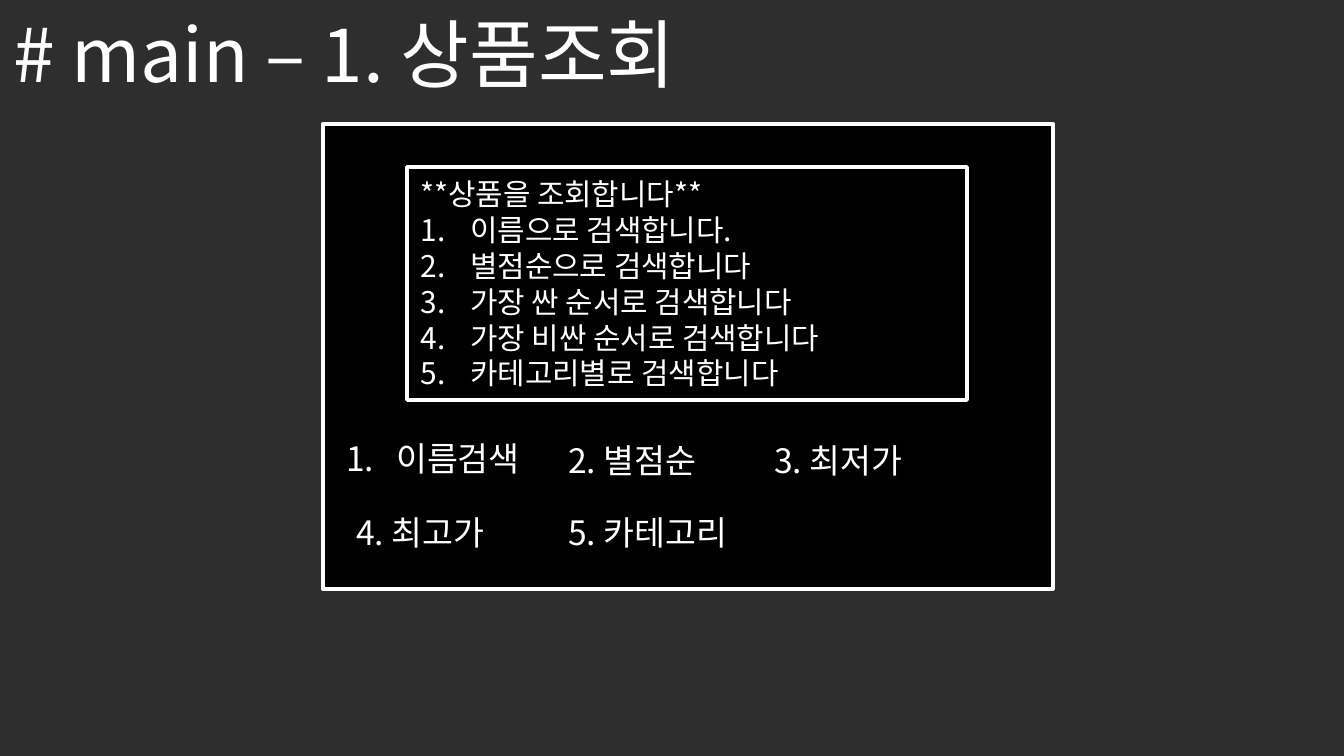
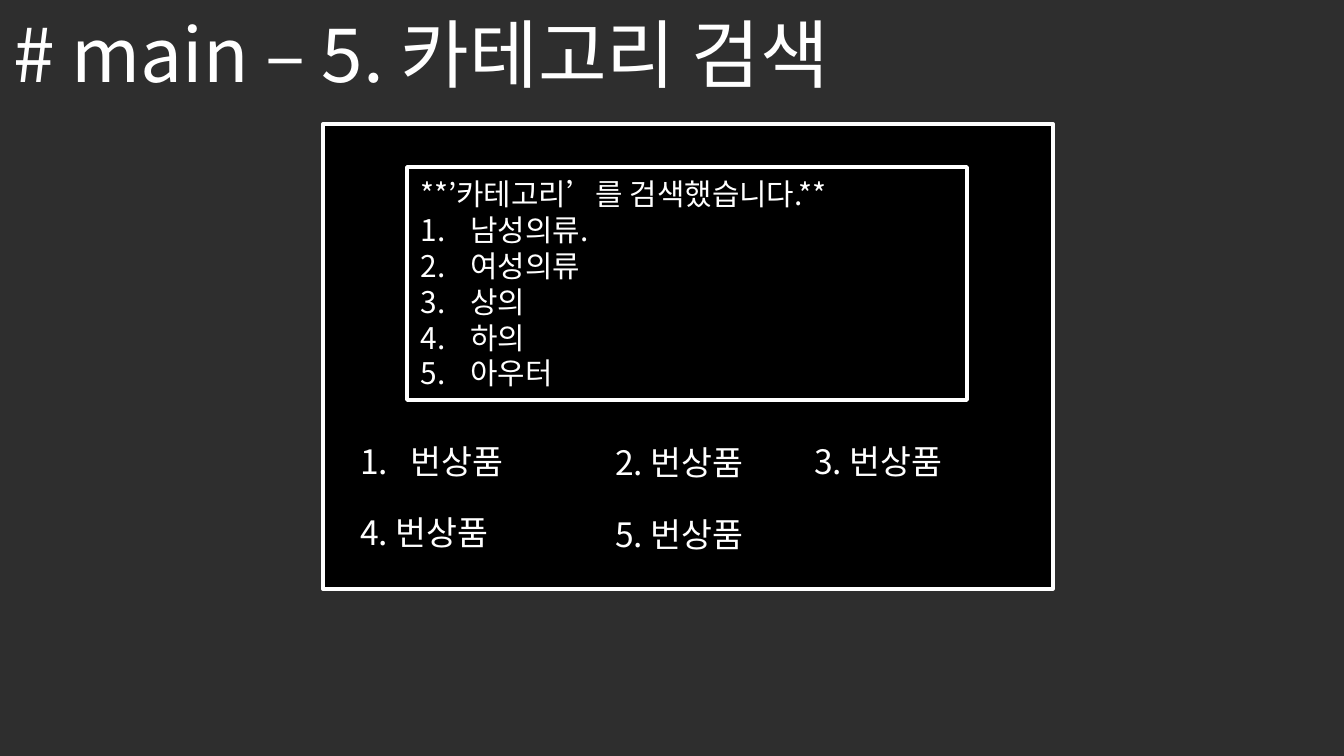
from dataclasses import dataclass

from lxml import etree
from pptx import Presentation
from pptx.dml.color import RGBColor
from pptx.enum.shapes import MSO_SHAPE
from pptx.enum.text import MSO_ANCHOR, MSO_AUTO_SIZE, PP_ALIGN
from pptx.oxml.ns import qn
from pptx.util import Pt

RECT = MSO_SHAPE.RECTANGLE
LEFT = PP_ALIGN.LEFT
TOP, MIDDLE = MSO_ANCHOR.TOP, MSO_ANCHOR.MIDDLE
FIT, FIXED = MSO_AUTO_SIZE.SHAPE_TO_FIT_TEXT, MSO_AUTO_SIZE.NONE

# Shared look
COLORS = {"back": "2E2E2E", "console": "000000", "ink": "FFFFFF"}
FONT = "Noto Sans CJK KR"
SLIDE_W, SLIDE_H = 1344, 756
CONSOLE = (323, 124, 730, 465)
MESSAGE = (407, 167, 560, 233)
TITLE_H, OPTION_H = 103, 54
NUMBER_INDENT = 50


@dataclass
class Option:
    text: str
    left: int
    top: int
    width: int = 167
    numbered: bool = False


@dataclass
class Screen:
    title: str
    title_width: int
    heading: str
    items: list[str]
    options: list[Option]


def px(n: float) -> int:
    return round(n * 914400 / 134.4)


def rgb(name: str) -> RGBColor:
    return RGBColor.from_string(COLORS[name])


def place(sp, left: int, top: int, width: int, height: int) -> None:
    sp.left, sp.top, sp.width, sp.height = map(px, (left, top, width, height))


def outline(sp) -> None:
    sp.fill.solid()
    sp.fill.fore_color.rgb = rgb("console")
    sp.line.color.rgb = rgb("ink")
    sp.line.width = Pt(2)


def set_frame(tf, *, wrap: bool, fit, anchor=TOP) -> None:
    tf.word_wrap = wrap
    tf.auto_size = fit
    tf.vertical_anchor = anchor


def write(p, text: str, *, size: int, numbered: bool = False) -> None:
    p.alignment = LEFT
    p.space_before = Pt(0)
    r = p.add_run()
    r.text = text
    r.font.size = Pt(size)
    r.font.name = FONT
    r.font.color.rgb = rgb("ink")
    r.font.fill  # the colour precedes the typefaces
    r.font._element.find(qn("a:latin")).addnext(
        etree.Element(qn("a:ea"), typeface=FONT))
    # Automatic numbering or no bullet
    pPr = p._p.get_or_add_pPr()
    indent = px(NUMBER_INDENT) if numbered else 0
    pPr.set("marL", str(indent))
    pPr.set("indent", str(-indent))
    if numbered:
        etree.SubElement(pPr, qn("a:buFont"), typeface="+mj-lt")
        etree.SubElement(pPr, qn("a:buAutoNum"), type="arabicPeriod")
    else:
        etree.SubElement(pPr, qn("a:buNone"))


def add_option(s, option: Option) -> None:
    sp = s.shapes.add_textbox(*map(px, (option.left, option.top, option.width, OPTION_H)))
    set_frame(sp.text_frame, wrap=False, fit=FIT)
    write(sp.text_frame.paragraphs[0], option.text, size=18, numbered=option.numbered)


def add_screen(prs, screen: Screen) -> None:
    s = prs.slides.add_slide(prs.slide_layouts[1])
    s.background.fill.solid()
    s.background.fill.fore_color.rgb = rgb("back")

    # Title
    title, message = s.shapes.title, s.placeholders[1]
    place(title, 0, 1, screen.title_width, TITLE_H)
    set_frame(title.text_frame, wrap=False, fit=FIT)
    write(title.text_frame.paragraphs[0], screen.title, size=40)

    # Console, behind the message
    console = s.shapes.add_shape(RECT, *map(px, CONSOLE))
    console.shadow.inherit = False
    outline(console)
    message.element.addprevious(console.element)

    # Message with its numbered list
    place(message, *MESSAGE)
    outline(message)
    tf = message.text_frame
    set_frame(tf, wrap=True, fit=FIXED, anchor=MIDDLE)
    write(tf.paragraphs[0], screen.heading, size=16)
    for item in screen.items:
        write(tf.add_paragraph(), item, size=16, numbered=True)

    # Choices
    for option in screen.options:
        add_option(s, option)


SCREENS = [
    Screen(
        "# main – 1. 상품조회", 746, "**상품을 조회합니다**",
        ["이름으로 검색합니다.", "별점순으로 검색합니다", "가장 싼 순서로 검색합니다",
         "가장 비싼 순서로 검색합니다", "카테고리별로 검색합니다"],
        [Option("이름검색", 333, 431, 214, numbered=True),
         Option("2. 별점순", 555, 433),
         Option("3. 최저가", 761, 433),
         Option("4. 최고가", 343, 505),
         Option("5. 카테고리", 555, 505, 202)],
    ),
    Screen(
        "# main – 5. 카테고리 검색", 923, "**’카테고리’를 검색했습니다.**",
        ["남성의류.", "여성의류", "상의", "하의", "아우터"],
        [Option("번상품", 347, 434, 180, numbered=True),
         Option("2. 번상품", 602, 435),
         Option("3. 번상품", 801, 434),
         Option("4. 번상품", 347, 505),
         Option("5. 번상품", 602, 507)],
    ),
]

prs = Presentation()
prs.slide_width, prs.slide_height = px(SLIDE_W), px(SLIDE_H)
for screen in SCREENS:
    add_screen(prs, screen)
prs.save("out.pptx")
